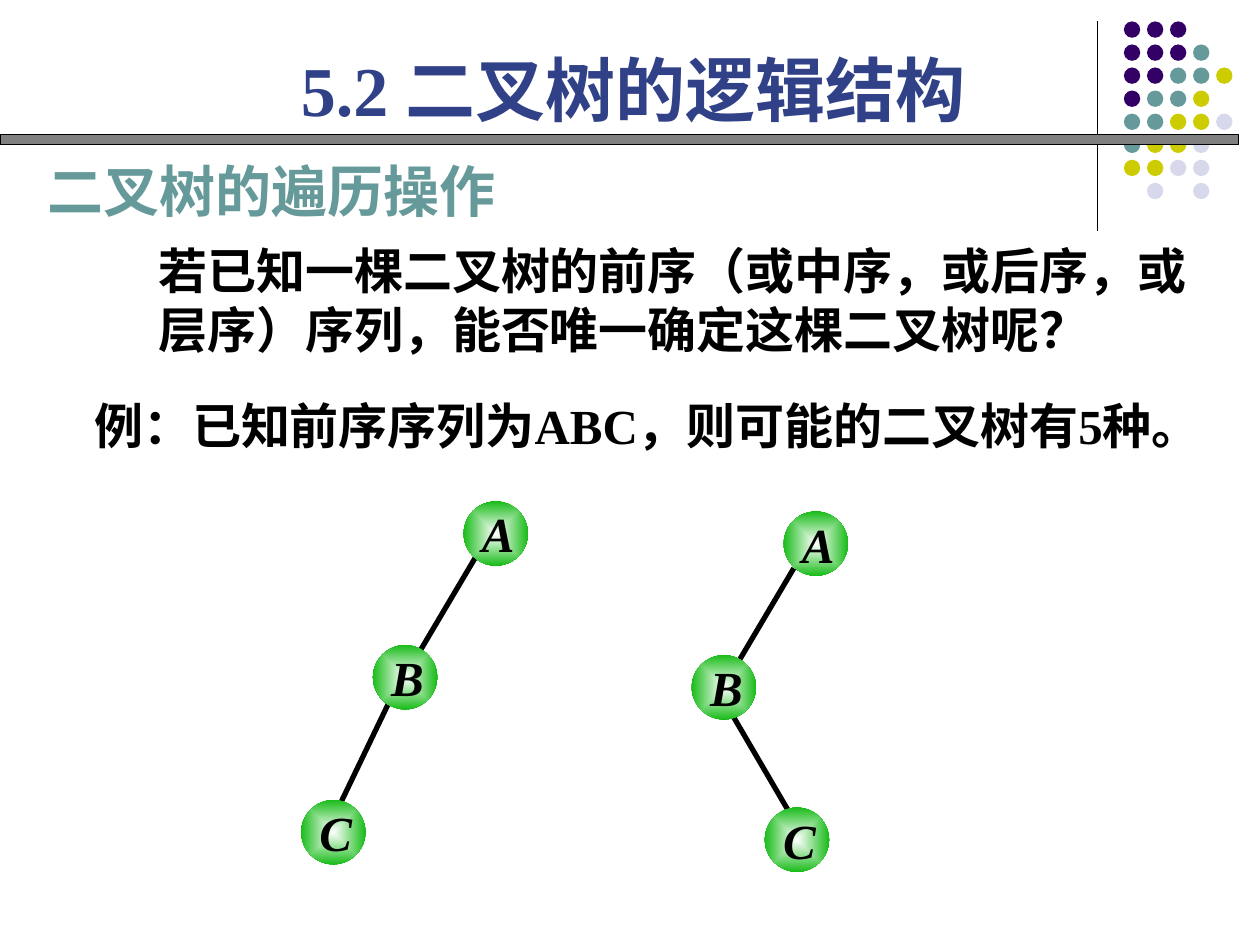
from dataclasses import dataclass

import pptx
import pptx.dml.color
import pptx.enum.shapes
import pptx.enum.text
import pptx.oxml
import pptx.oxml.ns
import pptx.util
from pptx.dml.color import RGBColor
from pptx.util import Inches

BLACK = RGBColor(0x00, 0x00, 0x00)
GRAY = RGBColor(0x80, 0x80, 0x80)
NAVY = RGBColor(0x31, 0x41, 0x87)
PURPLE = RGBColor(0x33, 0x00, 0x66)
TEAL = RGBColor(0x66, 0x99, 0x99)
OLIVE = RGBColor(0xCC, 0xCC, 0x00)
LAVENDER = RGBColor(0xD8, 0xD8, 0xEC)
WHITE = RGBColor(0xFF, 0xFF, 0xFF)
GREEN = RGBColor(0x00, 0xB4, 0x00)

LATIN = "Times New Roman"
CJK = "Noto Sans CJK SC"
NODE_SIZE = 0.51
DOT_SIZE = 0.13
DOT_STEP = 0.183
NS = pptx.oxml.ns.nsdecls("a")
OVAL = pptx.enum.shapes.MSO_SHAPE.OVAL


@dataclass
class Passage:
    text: str
    left: float
    top: float
    width: float
    height: float
    size: float
    color: RGBColor = BLACK
    latin: str = LATIN
    shadow: bool = False


@dataclass
class Node:
    label: str
    left: float
    top: float


@dataclass
class Edge:
    x1: float
    y1: float
    x2: float
    y2: float


@dataclass
class Tree:
    nodes: list[Node]
    edges: list[Edge]


def add_line(shapes, edge: Edge, width: float) -> None:
    line = shapes.add_connector(
        pptx.enum.shapes.MSO_CONNECTOR.STRAIGHT,
        Inches(edge.x1), Inches(edge.y1), Inches(edge.x2), Inches(edge.y2))
    line.line.color.rgb = BLACK
    line.line.width = pptx.util.Pt(width)
    line._element.spPr.append(pptx.oxml.parse_xml(f"<a:effectLst {NS}/>"))


def add_dot(shapes, left: float, top: float, size: float, color: RGBColor):
    dot = shapes.add_shape(OVAL, Inches(left), Inches(top), Inches(size), Inches(size))
    dot.shadow.inherit = False
    dot.fill.solid()
    dot.fill.fore_color.rgb = color
    dot.line.fill.background()
    return dot


def add_passage(shapes, passage: Passage):
    box = shapes.add_textbox(Inches(passage.left), Inches(passage.top),
                             Inches(passage.width), Inches(passage.height))
    frame = box.text_frame
    frame.word_wrap = True
    run = frame.paragraphs[0].add_run()
    run.text = passage.text
    run.font.size = pptx.util.Pt(passage.size)
    run.font.bold = True
    run.font.color.rgb = passage.color
    if passage.shadow:
        run.font._element.append(pptx.oxml.parse_xml(
            f'<a:effectLst {NS}><a:outerShdw dist="17961" dir="2700000">'
            f'<a:srgbClr val="{GRAY}"/></a:outerShdw></a:effectLst>'))
    run.font.name = passage.latin
    run.font._element.find(pptx.oxml.ns.qn("a:latin")).addnext(
        pptx.oxml.parse_xml(f'<a:ea {NS} typeface="{CJK}"/>'))
    return box


def add_node(shapes, node: Node) -> None:
    ball = add_dot(shapes, node.left, node.top, NODE_SIZE, GREEN)
    ball.rotation = 352.6
    # White centre fading to green
    solid = ball._element.spPr.find(pptx.oxml.ns.qn("a:solidFill"))
    ball._element.spPr.replace(solid, pptx.oxml.parse_xml(
        f'<a:gradFill {NS} rotWithShape="1"><a:gsLst>'
        f'<a:gs pos="0"><a:srgbClr val="{WHITE}"/></a:gs>'
        f'<a:gs pos="100000"><a:srgbClr val="{GREEN}"/></a:gs></a:gsLst>'
        '<a:path path="rect"><a:fillToRect l="50000" t="50000" r="50000" b="50000"/>'
        '</a:path></a:gradFill>'))
    label = add_passage(shapes, Passage(
        node.label, node.left + 0.06, node.top - 0.04, 0.43, 0.6, 28))
    frame = label.text_frame
    frame.margin_left = frame.margin_right = frame.margin_bottom = 0
    frame.margin_top = Inches(0.06)
    frame.paragraphs[0].alignment = pptx.enum.text.PP_ALIGN.CENTER
    frame.paragraphs[0].runs[0].font.italic = True


def add_tree(shapes, tree: Tree) -> None:
    for edge in tree.edges:
        add_line(shapes, edge, 3)
    for node in tree.nodes:
        add_node(shapes, node)


DOT_COLORS = {"P": PURPLE, "T": TEAL, "O": OLIVE, "L": LAVENDER}
DOT_ROWS = ["PPP", "PPPT", "PPTTO", "PTTO", "TTOOL", "TOOL", "OOLL", ".L.L"]

PASSAGES = [
    Passage("5.2 二叉树的逻辑结构", 2.29, 0.32, 6.38, 0.77, 40, NAVY),
    Passage("若已知一棵二叉树的前序（或中序，或后序，或层序）序列，能否唯一确定这棵二叉树呢？",
            1.16, 1.86, 8.42, 1.04, 28, latin=CJK),
    Passage("例：已知前序序列为ABC，则可能的二叉树有5种。", 0.65, 3.09, 9.1, 0.57, 28),
    Passage("二叉树的遍历操作", 0.28, 1.19, 5.92, 0.64, 32, TEAL, CJK, shadow=True),
]

TREES = [
    Tree([Node("A", 3.68, 3.98), Node("B", 2.96, 5.12), Node("C", 2.39, 6.35)],
         [Edge(3.77, 4.43, 3.32, 5.19), Edge(3.08, 5.59, 2.71, 6.36)]),
    Tree([Node("A", 6.22, 4.06), Node("B", 5.49, 5.2), Node("C", 6.07, 6.41)],
         [Edge(6.3, 4.51, 5.85, 5.27), Edge(5.81, 5.67, 6.26, 6.44)]),
]


def main() -> None:
    deck = pptx.Presentation()
    deck.slide_width, deck.slide_height = Inches(10), Inches(7.5)
    shapes = deck.slides.add_slide(deck.slide_layouts[6]).shapes

    # Corner decoration
    add_line(shapes, Edge(8.71, 0.17, 8.71, 1.83), 0.75)
    for row, codes in enumerate(DOT_ROWS):
        for column, code in enumerate(codes):
            if code in DOT_COLORS:
                add_dot(shapes, 8.92 + column * DOT_STEP, 0.17 + row * DOT_STEP,
                        DOT_SIZE, DOT_COLORS[code])

    # Bar under the title
    title_bar = shapes.add_shape(pptx.enum.shapes.MSO_SHAPE.RECTANGLE,
                                 0, Inches(1.07), Inches(9.83), Inches(0.08))
    title_bar.shadow.inherit = False
    title_bar.fill.solid()
    title_bar.fill.fore_color.rgb = GRAY
    title_bar.line.color.rgb = BLACK
    title_bar.line.width = pptx.util.Pt(0.75)

    # Title, question, example and section heading
    for passage in PASSAGES:
        add_passage(shapes, passage)

    # Two of the possible trees
    for tree in TREES:
        add_tree(shapes, tree)

    deck.save("out.pptx")


if __name__ == "__main__":
    main()
